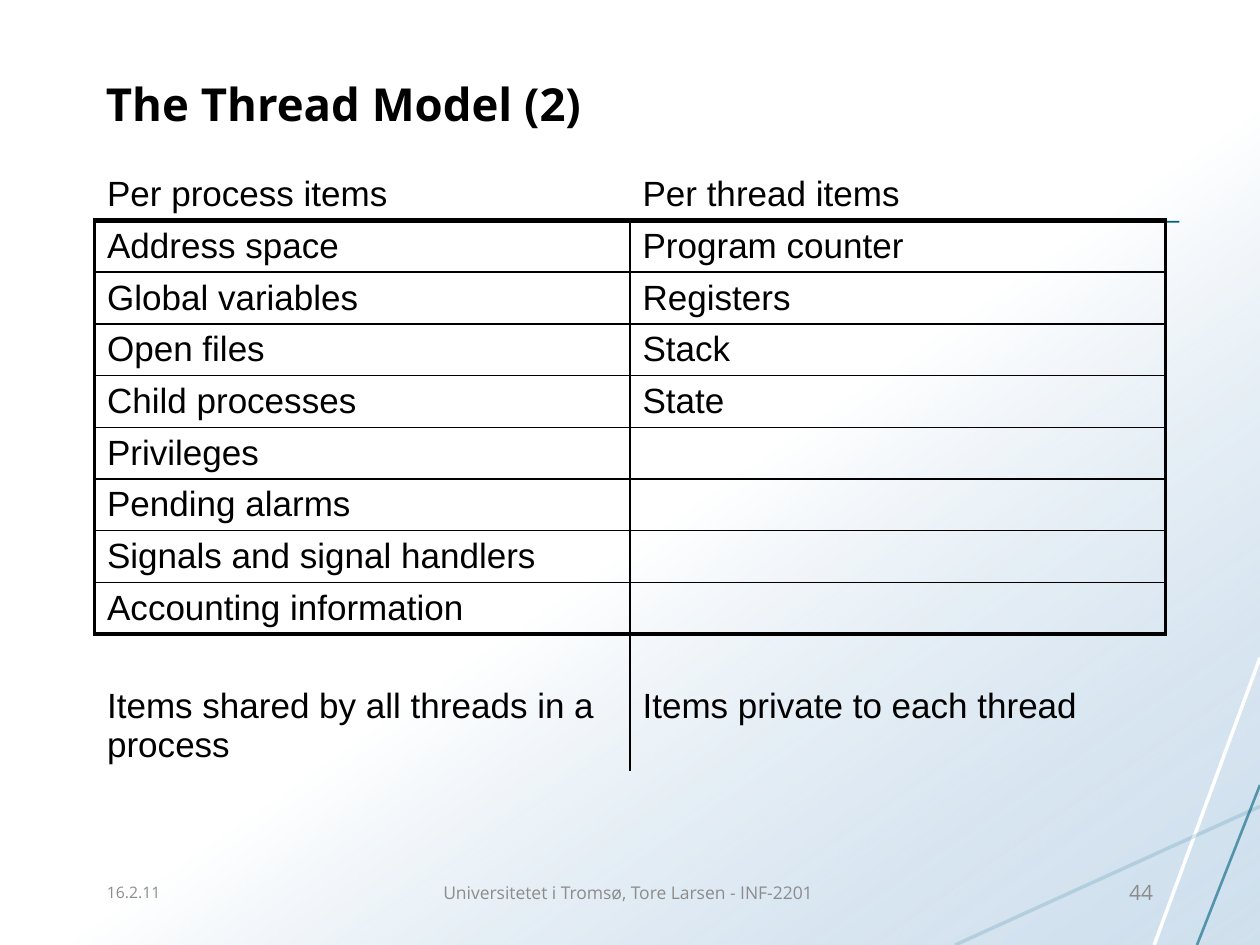
"""Build the slide that lists what threads share and what each keeps private."""
from dataclasses import dataclass
from itertools import zip_longest
from typing import Any

import lxml.etree
import pptx
import pptx.dml.color
import pptx.enum.shapes
import pptx.enum.text
import pptx.oxml
import pptx.oxml.ns
import pptx.util

WIDTH, HEIGHT = 10, 7.5
COLORS = {"ink": "000000", "paper": "FFFFFF", "haze": "A9C7E0", "teal": "00617F",
          "sea": "15718F", "muted": "8C8C8C"}
SHARED = ["Address space", "Global variables", "Open files", "Child processes", "Privileges",
          "Pending alarms", "Signals and signal handlers", "Accounting information"]
PRIVATE = ["Program counter", "Registers", "Stack", "State"]
ROWS = [("Per process items", "Per thread items"),
        *zip_longest(SHARED, PRIVATE, fillvalue=""),
        ("Items shared by all threads in a process", "Items private to each thread")]
LAST = len(ROWS) - 1
COL_W, ROW_H, CLOSING_H, CLOSING_TOP = 4.25, 0.41, 1.08, 0.42
THIN, SIDE, THICK = 1, 2.25, 3
ALIGN = pptx.enum.text.PP_ALIGN
ANCHOR = pptx.enum.text.MSO_ANCHOR
NS = pptx.oxml.ns.nsdecls("a")


@dataclass(frozen=True)
class Stroke:
    start: tuple[float, float]
    end: tuple[float, float]
    color: str
    width: float
    opacity: int = 100


@dataclass(frozen=True)
class Label:
    text: str
    left: float
    width: float
    size: int
    align: Any = ALIGN.LEFT


STROKES = [Stroke((10, 5.22), (9.16, 7.5), "paper", 2),
           Stroke((10, 6.4), (7.58, 7.5), "sea", 2, 16),
           Stroke((10, 6.23), (9.5, 7.5), "teal", 1.5, 60),
           Stroke((0.84, 1.75), (9.36, 1.76), "teal", 1)]
LABELS = [Label("16.2.11", 0.75, 2.08, 9),
          Label("Universitetet i Tromsø, Tore Larsen - INF-2201", 3.42, 3.17, 10),
          Label("44", 7.17, 2.08, 12, ALIGN.RIGHT)]


def inches(*values: float) -> list[int]:
    """Convert lengths to slide units."""
    return [pptx.util.Inches(v) for v in values]


def rgb(name: str) -> pptx.dml.color.RGBColor:
    """Look up a named colour."""
    return pptx.dml.color.RGBColor.from_string(COLORS[name])


def apply(target: Any, values: dict[str, Any]) -> None:
    """Set each named attribute on the target."""
    for name, value in values.items():
        setattr(target, name, value)


def write(tf: Any, text: str, size: int, face: str, color: str = "ink",
          bold: bool = False, align: Any = ALIGN.LEFT) -> None:
    """Put one formatted run into a text frame."""
    p = tf.paragraphs[0]
    p.alignment = align
    r = p.add_run()
    r.text = text
    apply(r.font, {"size": pptx.util.Pt(size), "name": face, "bold": bold})
    r.font.color.rgb = rgb(color)


def draw_backdrop(s: Any) -> None:
    """Cover the slide with a diagonal white-to-blue gradient."""
    sp = s.shapes.add_shape(pptx.enum.shapes.MSO_SHAPE.RECTANGLE, 0, 0, *inches(WIDTH, HEIGHT))
    sp.shadow.inherit = False
    sp.line.fill.background()
    sp.fill.background()
    blank = sp.element.spPr.find(pptx.oxml.ns.qn("a:noFill"))
    sp.element.spPr.replace(blank, pptx.oxml.parse_xml(
        f'<a:gradFill {NS} rotWithShape="1"><a:gsLst>'
        f'<a:gs pos="54000"><a:srgbClr val="{COLORS["paper"]}"/></a:gs>'
        f'<a:gs pos="100000"><a:srgbClr val="{COLORS["haze"]}"><a:alpha val="54000"/></a:srgbClr></a:gs>'
        f'</a:gsLst><a:lin ang="{55 * 60000}" scaled="0"/></a:gradFill>'))


def draw_stroke(s: Any, stroke: Stroke) -> None:
    """Draw a straight line of the given opacity."""
    sp = s.shapes.add_connector(pptx.enum.shapes.MSO_CONNECTOR.STRAIGHT,
                                *inches(*stroke.start, *stroke.end))
    sp.line.width = pptx.util.Pt(stroke.width)
    sp.line.color.rgb = rgb(stroke.color)
    qn = pptx.oxml.ns.qn
    if stroke.opacity < 100:
        color = sp.element.spPr.find(f".//{qn('a:srgbClr')}")
        lxml.etree.SubElement(color, qn("a:alpha"), val=str(stroke.opacity * 1000))
    lxml.etree.SubElement(sp.element.spPr, qn("a:effectLst"))


def draw_label(s: Any, label: Label) -> None:
    """Add a small label along the foot of the slide."""
    tf = s.shapes.add_textbox(*inches(label.left, 6.83, label.width, 0.5)).text_frame
    apply(tf, {"word_wrap": True, "vertical_anchor": ANCHOR.MIDDLE})
    write(tf, label.text, label.size, "Open Sans", "muted", align=label.align)


def upright(row: int, edge: int) -> float:
    """Width of the vertical rule at a column edge."""
    if edge == 1:
        return THIN if row > 0 else 0
    return SIDE if 0 < row < LAST else 0


def level(edge: int) -> float:
    """Width of the horizontal rule at a row edge."""
    if edge in (0, LAST + 1):
        return 0
    return THICK if edge in (1, LAST) else THIN


def draw_borders(cell: Any, row: int, col: int) -> None:
    """Rule the four sides of a cell."""
    widths = {"L": upright(row, col), "R": upright(row, col + 1),
              "T": level(row), "B": level(row + 1)}
    tc_pr = cell._tc.get_or_add_tcPr()
    for side, width in widths.items():
        fill = (f'<a:solidFill><a:srgbClr val="{COLORS["ink"]}"/></a:solidFill>'
                if width else "<a:noFill/>")
        tc_pr.append(pptx.oxml.parse_xml(
            f'<a:ln{side} {NS} w="{pptx.util.Pt(width)}">{fill}</a:ln{side}>'))


def draw_table(s: Any) -> None:
    """Draw the two-column table of items."""
    heights = [ROW_H] * LAST + [CLOSING_H]
    table = s.shapes.add_table(len(ROWS), 2, *inches(0.75, 1.34, 2 * COL_W, sum(heights))).table
    apply(table, {"first_row": False, "horz_banding": False})
    for row, (texts, height) in enumerate(zip(ROWS, heights)):
        table.rows[row].height = pptx.util.Inches(height)
        for col, text in enumerate(texts):
            cell = table.cell(row, col)
            draw_borders(cell, row, col)
            cell.fill.background()
            if row == LAST:
                cell.margin_top = pptx.util.Inches(CLOSING_TOP)
            if text:
                write(cell.text_frame, text, 20, "Arial")


def draw_title(s: Any) -> None:
    """Place the title in front of the backdrop."""
    sp = s.shapes.title
    apply(sp, dict(zip(("left", "top", "width", "height"), inches(0.74, 0.29, 8.5, 0.8))))
    tf = sp.text_frame
    apply(tf, {"word_wrap": True, "vertical_anchor": ANCHOR.BOTTOM,
               "auto_size": pptx.enum.text.MSO_AUTO_SIZE.NONE})
    write(tf, "The Thread Model (2)", 26, "Open Sans", bold=True)
    sp.element.getparent().append(sp.element)


def main() -> None:
    """Build and save the slide."""
    prs = pptx.Presentation()
    apply(prs, dict(zip(("slide_width", "slide_height"), inches(WIDTH, HEIGHT))))
    s = prs.slides.add_slide(prs.slide_layouts.get_by_name("Title Only"))
    draw_backdrop(s)
    for stroke in STROKES:
        draw_stroke(s, stroke)
    draw_title(s)
    draw_table(s)
    for label in LABELS:
        draw_label(s, label)
    prs.save("out.pptx")


if __name__ == "__main__":
    main()
